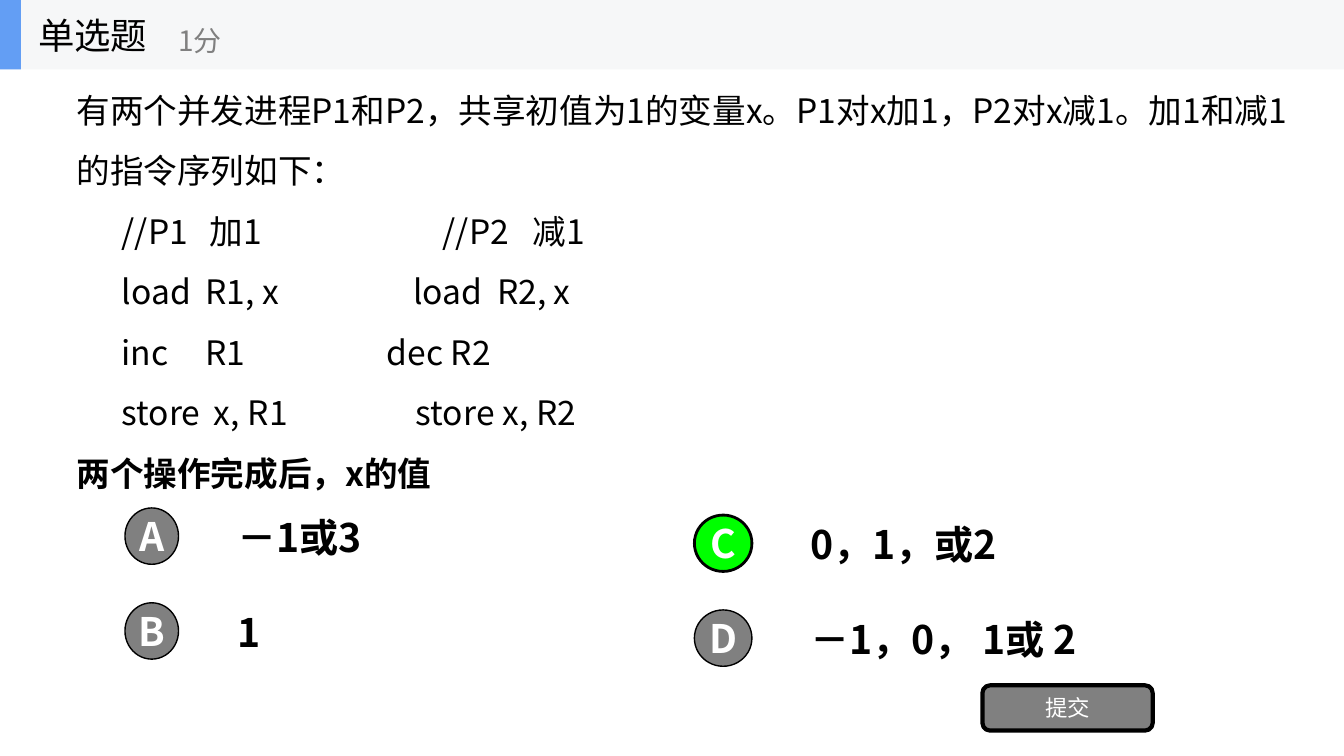
"""Build a single-choice quiz slide about two concurrent processes."""
from dataclasses import dataclass

from lxml.etree import SubElement
from pptx import Presentation
from pptx.dml.color import RGBColor
from pptx.enum.shapes import MSO_SHAPE
from pptx.enum.text import MSO_ANCHOR, PP_ALIGN
from pptx.oxml.ns import qn
from pptx.util import Cm, Pt

FONT = "Noto Sans CJK SC"
BLACK, GRAY, WHITE, GREEN = "000000", "808080", "FFFFFF", "00FF00"
SLIDE_WIDTH, HEADER_HEIGHT = 33.87, 1.75
FIRST_ROW, ROW_STEP = 12.8, 2.39


@dataclass(frozen=True)
class Box:
    left: float
    top: float
    width: float
    height: float

    def lengths(self) -> tuple:
        return Cm(self.left), Cm(self.top), Cm(self.width), Cm(self.height)


@dataclass(frozen=True)
class Line:
    text: str
    tabs: tuple[float, ...] = ()
    bold: bool = False


@dataclass(frozen=True)
class Column:
    badge_left: float
    badge_width: float
    answer_left: float
    answer_width: float
    drop: float


@dataclass(frozen=True)
class Option:
    letter: str
    answer: str
    column: Column
    row: int
    fill: str = GRAY
    border: float = 1


LEFT = Column(3.15, 1.35, 5.74, 6.68, 0)
RIGHT = Column(17.5, 1.45, 20.17, 9.86, 0.18)

QUESTION = (
    Line("有两个并发进程P1和P2，共享初值为1的变量x。P1对x加1，P2对x减1。加1和减1的指令序列如下："),
    Line("\t//P1\t加1\t//P2\t减1", (1.14, 3.35, 9.23, 11.5)),
    Line("\tload\tR1, x\tload\tR2, x", (1.14, 3.25, 8.48, 10.6)),
    Line("\tinc\tR1\tdec R2", (1.14, 3.25, 7.82)),
    Line("\tstore\tx, R1\tstore x, R2", (1.14, 3.46, 8.55)),
    Line("两个操作完成后，x的值", bold=True),
)

OPTIONS = (
    Option("A", "－1或3", LEFT, 0),
    Option("B", "1", LEFT, 1),
    Option("C", "0，1，或2", RIGHT, 0, GREEN, 2),
    Option("D", "－1，0， 1或 2", RIGHT, 1),
)


def rgb(color: str) -> RGBColor:
    return RGBColor.from_string(color)


def format_runs(paragraph, size: float, color: str, bold: bool = False) -> None:
    for run in paragraph.runs:
        run.font.size = Pt(size)
        run.font.bold = bold
        run.font.color.rgb = rgb(color)
        run.font.name = FONT
        SubElement(run.font._element, qn("a:ea"), typeface=FONT)


def add_label(slide, box: Box, text: str, size: float, color: str = BLACK, bold: bool = False) -> None:
    frame = slide.shapes.add_textbox(*box.lengths()).text_frame
    frame.word_wrap = True
    frame.vertical_anchor = MSO_ANCHOR.MIDDLE
    frame.text = text
    format_runs(frame.paragraphs[0], size, color, bold)


def add_panel(slide, kind: MSO_SHAPE, box: Box, fill: str, border: float = 0):
    panel = slide.shapes.add_shape(kind, *box.lengths())
    panel.shadow.inherit = False
    panel.fill.solid()
    panel.fill.fore_color.rgb = rgb(fill)
    if border:
        panel.line.color.rgb = rgb(BLACK)
        panel.line.width = Pt(border)
    else:
        panel.line.fill.background()
    return panel


def add_caption(panel, text: str, size: float, bold: bool = False) -> None:
    frame = panel.text_frame
    frame.margin_left = frame.margin_right = frame.margin_top = frame.margin_bottom = 0
    frame.vertical_anchor = MSO_ANCHOR.MIDDLE
    frame.text = text
    frame.paragraphs[0].alignment = PP_ALIGN.CENTER
    format_runs(frame.paragraphs[0], size, WHITE, bold)


def add_question(slide, box: Box, lines: tuple[Line, ...]) -> None:
    frame = slide.shapes.add_textbox(*box.lengths()).text_frame
    frame.word_wrap = True
    frame.margin_top = 0
    frame.vertical_anchor = MSO_ANCHOR.TOP
    for index, line in enumerate(lines):
        paragraph = frame.add_paragraph() if index else frame.paragraphs[0]
        paragraph.text = line.text
        paragraph.line_spacing = Pt(43.2)
        format_runs(paragraph, 24, BLACK, line.bold)
        if line.tabs:
            stops = SubElement(paragraph._p.get_or_add_pPr(), qn("a:tabLst"))
            for position in line.tabs:
                SubElement(stops, qn("a:tab"), pos=str(Cm(position)), algn="l")


def add_option(slide, option: Option) -> None:
    column = option.column
    top = FIRST_ROW + option.row * ROW_STEP + column.drop
    answer_box = Box(column.answer_left, top - 0.18, column.answer_width, 1.8)
    add_label(slide, answer_box, option.answer, 28, bold=True)
    badge_box = Box(column.badge_left, top, column.badge_width, 1.42)
    badge = add_panel(slide, MSO_SHAPE.OVAL, badge_box, option.fill, option.border)
    add_caption(badge, option.letter, 28, bold=True)


def main() -> None:
    presentation = Presentation()
    presentation.slide_width, presentation.slide_height = Cm(SLIDE_WIDTH), Cm(19.05)
    slide = presentation.slides.add_slide(presentation.slide_layouts[6])

    add_question(slide, Box(1.68, HEADER_HEIGHT, 31.5, 12.04), QUESTION)
    for option in OPTIONS:
        add_option(slide, option)

    submit = add_panel(slide, MSO_SHAPE.ROUNDED_RECTANGLE, Box(24.76, 17.27, 4.29, 1.14), GRAY, 3)
    add_caption(submit, "提交", 16)

    add_panel(slide, MSO_SHAPE.RECTANGLE, Box(0, 0, SLIDE_WIDTH, HEADER_HEIGHT), "F6F7F8")
    add_panel(slide, MSO_SHAPE.RECTANGLE, Box(0, 0, 0.53, HEADER_HEIGHT), "639EF4")
    add_label(slide, Box(0.71, 0, 5.28, HEADER_HEIGHT), "单选题", 26)
    add_label(slide, Box(4.24, 0.3, 6.35, 1.42), "1分", 20, GRAY)

    presentation.save("out.pptx")


if __name__ == "__main__":
    main()
